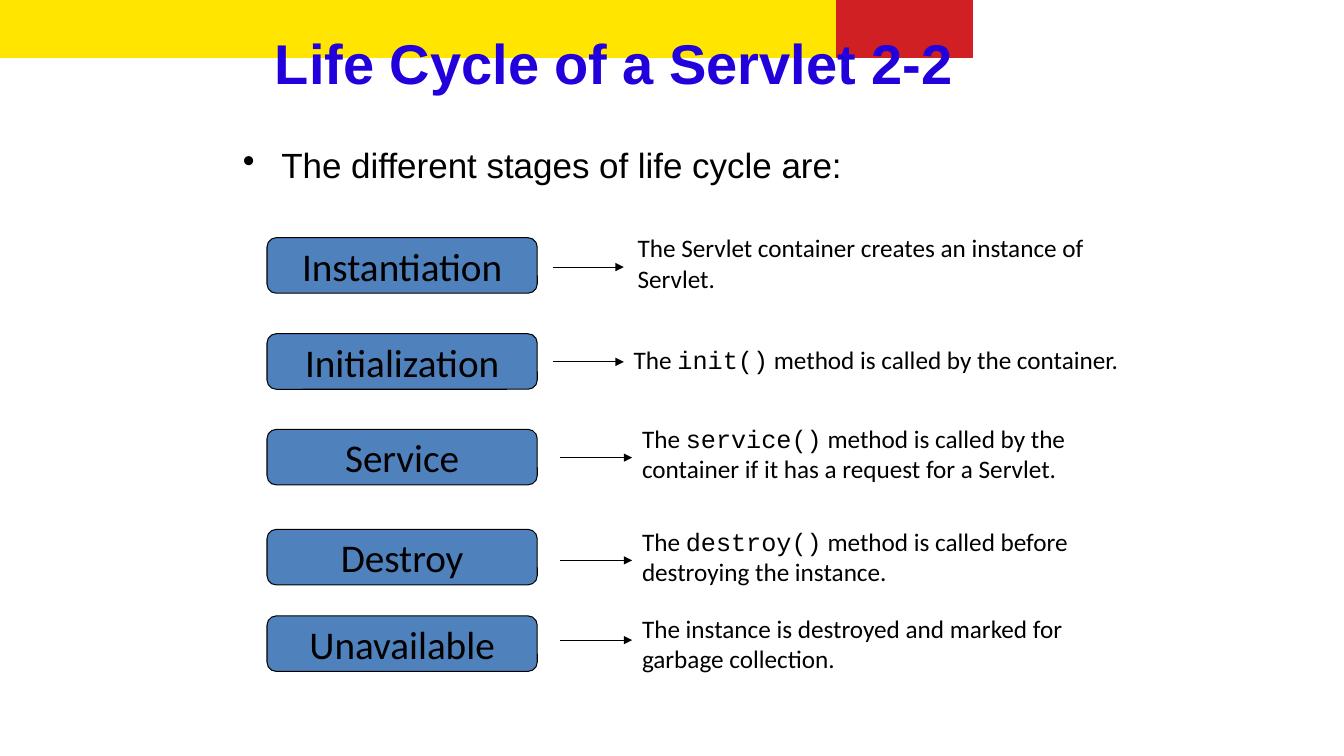
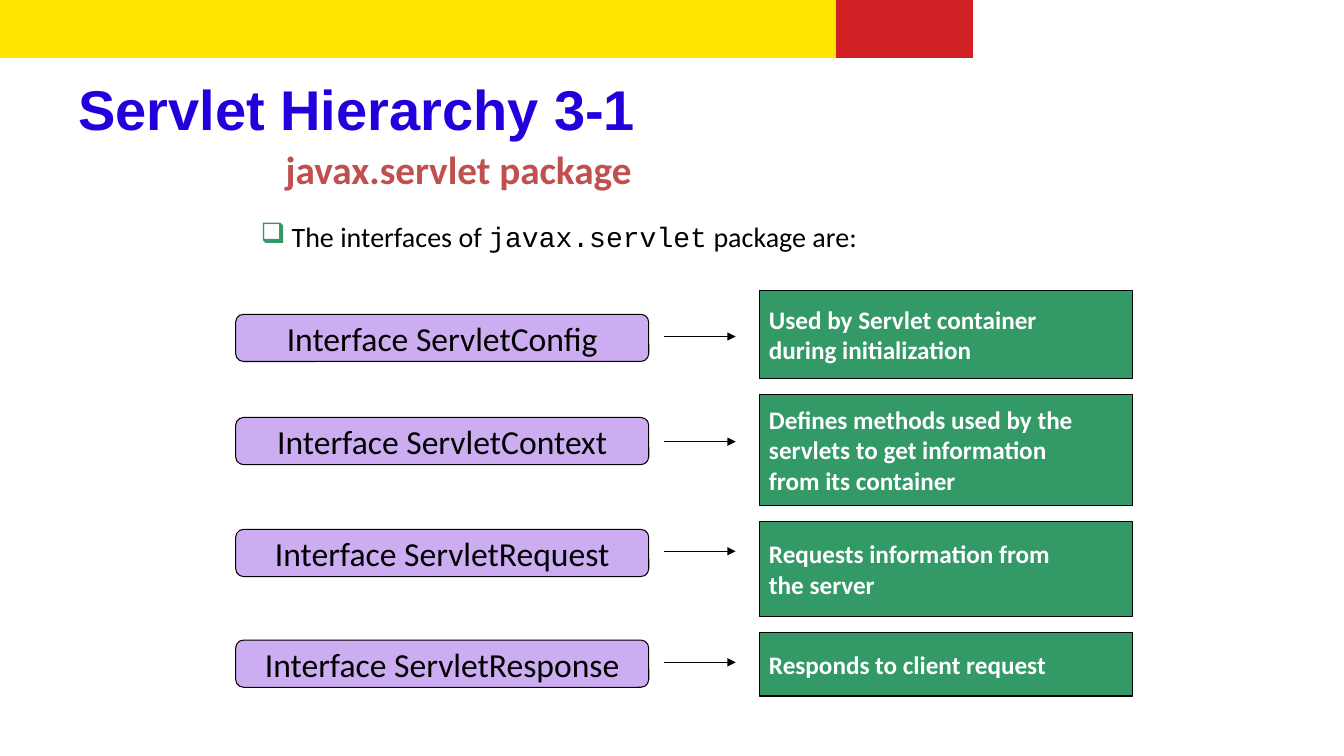
from dataclasses import dataclass

from lxml import etree
from pptx import Presentation, util as u
from pptx.dml.color import RGBColor
from pptx.enum import shapes, text
from pptx.oxml.ns import qn


@dataclass(frozen=True)
class TextStyle:
    size: int
    colour: str = "000000"
    font: str = "Calibri"
    bold: bool = False


@dataclass(frozen=True)
class Theme:
    yellow: str = "FFE500"
    red: str = "D12023"
    blue: str = "4F81BD"
    lilac: str = "CDADF1"
    green: str = "339966"
    outline: str = "000000"
    outline_width: float = 0.75
    code_font: str = "Courier New"
    title: TextStyle = TextStyle(40, "2200DC", "Arial", True)
    subtitle: TextStyle = TextStyle(28, "C0504D", bold=True)
    lead: TextStyle = TextStyle(25, font="Arial")
    intro: TextStyle = TextStyle(20)
    stage: TextStyle = TextStyle(28)
    interface: TextStyle = TextStyle(24)
    note: TextStyle = TextStyle(18)
    purpose: TextStyle = TextStyle(18, "FFFFFF", bold=True)


THEME = Theme()
ROUNDED = shapes.MSO_SHAPE.FLOWCHART_ALTERNATE_PROCESS
RECTANGLE = shapes.MSO_SHAPE.RECTANGLE
LEFT, CENTRE = text.PP_ALIGN.LEFT, text.PP_ALIGN.CENTER

# top, arrow y, arrow start and end, note left, top and width, name, note
STAGES = [
    (5.99, 6.73, 13.94, 15.72, 15.82, 5.74, 13.31, "Instantiation",
     "The Servlet container creates an instance of Servlet."),
    (8.41, 9.12, 13.94, 15.72, 15.72, 8.56, 13.89, "Initialization",
     "The `init()` method is called by the container."),
    (10.82, 11.53, 14.12, 15.93, 15.93, 10.54, 13.41, "Service",
     "The `service()` method is called by the container if it has "
     "a request for a Servlet."),
    (13.34, 14.12, 14.12, 15.93, 15.93, 13.13, 13.41, "Destroy",
     "The `destroy()` method is called before destroying the instance."),
    (15.52, 16.13, 14.12, 15.93, 15.93, 15.32, 13.21, "Unavailable",
     "The instance is destroyed and marked for garbage collection."),
]

# top, arrow y, purpose height, name, purpose
INTERFACES = [
    (7.92, 8.48, 2.21, "ServletConfig",
     "Used by Servlet container\nduring initialization"),
    (10.52, 11.13, 2.79, "ServletContext",
     "Defines methods used by the\nservlets to get information\n"
     "from its container"),
    (13.34, 13.89, 2.39, "ServletRequest",
     "Requests information from\nthe server"),
    (16.13, 16.69, 1.6, "ServletResponse", "Responds to client request"),
]


def rgb(colour):
    return RGBColor.from_string(colour)


def cm(*lengths):
    return [u.Cm(length) for length in lengths]


def write(frame, words, style, align=LEFT):
    """Fill a frame; words between backticks take the code font."""
    frame.text = words.replace("`", "") if "`" not in words else ""
    if "`" in words:
        for part in words.split("`"):
            frame.paragraphs[0].add_run().text = part
    for para in frame.paragraphs:
        para.alignment = align
        for index, span in enumerate(para.runs):
            span.font.name = THEME.code_font if index % 2 else style.font
            span.font.size = u.Pt(style.size)
            span.font.bold = style.bold
            span.font.color.rgb = rgb(style.colour)


def add_label(slide, left, top, width, height, words, style, inset=True):
    box = slide.shapes.add_textbox(*cm(left, top, width, height))
    frame = box.text_frame
    frame.word_wrap = True
    if not inset:
        frame.margin_left = frame.margin_right = 0
        frame.margin_top = frame.margin_bottom = 0
    write(frame, words, style)
    return frame.paragraphs[0]


def add_bullet(para, symbol, indent, colour):
    properties = para._p.get_or_add_pPr()
    properties.set("marL", str(u.Cm(indent)))
    properties.set("indent", str(-u.Cm(indent)))
    tint = etree.SubElement(properties, qn("a:buClr"))
    etree.SubElement(tint, qn("a:srgbClr"), val=colour)
    etree.SubElement(properties, qn("a:buChar"), char=symbol)


def add_block(slide, kind, left, top, width, height, fill,
              line=THEME.outline, line_width=THEME.outline_width):
    box = slide.shapes.add_shape(kind, *cm(left, top, width, height))
    box.shadow.inherit = False
    box.fill.solid()
    box.fill.fore_color.rgb = rgb(fill)
    box.line.color.rgb = rgb(line)
    box.line.width = u.Pt(line_width)
    return box


def add_box(slide, kind, left, top, width, height, fill, words, style, align):
    box = add_block(slide, kind, left, top, width, height, fill)
    frame = box.text_frame
    frame.word_wrap = align == LEFT
    frame.vertical_anchor = text.MSO_ANCHOR.MIDDLE
    write(frame, words, style, align)


def add_arrow(slide, start, end, y):
    arrow = slide.shapes.add_connector(
        shapes.MSO_CONNECTOR.STRAIGHT, *cm(start, y, end, y))
    arrow.line.color.rgb = rgb(THEME.outline)
    arrow.line.width = u.Pt(THEME.outline_width)
    properties = arrow.element.spPr
    etree.SubElement(properties.find(qn("a:ln")), qn("a:tailEnd"),
                     type="triangle")
    etree.SubElement(properties, qn("a:effectLst"))


def add_page(deck, title, left, top, width):
    """Start a page with the top bands and its title."""
    page = deck.slides.add_slide(deck.slide_layouts[6])
    for band_left, band_width, colour in [(0, 21.08, THEME.yellow),
                                          (21.08, 3.43, THEME.red)]:
        add_block(page, RECTANGLE, band_left, 0, band_width, 1.45,
                  colour, colour, 0.25)
    add_label(page, left, top, width, 1.7, title, THEME.title, inset=False)
    return page


def build_life_cycle(deck):
    page = add_page(deck, "Life Cycle of a Servlet 2-2", 6.93, 0.71, 22.61)
    lead = add_label(page, 6.12, 3.73, 22.86, 0.97,
                     "The different stages of life cycle are:",
                     THEME.lead, inset=False)
    add_bullet(lead, "•", 0.97, THEME.lead.colour)
    lead.line_spacing = 0.9

    # Stage, arrow and explanation in each row
    for (top, arrow_y, start, end, note_left, note_top, note_width,
         name, note) in STAGES:
        add_box(page, ROUNDED, 6.73, top, 6.81, 1.4, THEME.blue,
                name, THEME.stage, CENTRE)
        add_arrow(page, start, end, arrow_y)
        add_label(page, note_left, note_top, note_width, 1.78,
                  note, THEME.note)


def build_hierarchy(deck):
    page = add_page(deck, "Servlet Hierarchy 3-1", 1.98, 1.88, 29.9)
    add_label(page, 6.95, 3.53, 14.4, 1.45, "javax.servlet package",
              THEME.subtitle)
    intro = add_label(page, 6.32, 5.41, 15.7, 1.12,
                      "The interfaces of `javax.servlet` package are:",
                      THEME.intro)
    add_bullet(intro, "❑", 0.78, THEME.green)

    # Interface, arrow and purpose; purposes stack with an equal gap
    purpose_top, gap = 7.32, 0.41
    for top, arrow_y, height, name, purpose in INTERFACES:
        add_box(page, ROUNDED, 5.94, top, 10.41, 1.19, THEME.lilac,
                f"Interface {name}", THEME.interface, CENTRE)
        add_arrow(page, 16.74, 18.54, arrow_y)
        add_box(page, RECTANGLE, 19.13, purpose_top, 9.4, height,
                THEME.green, purpose, THEME.purpose, LEFT)
        purpose_top += height + gap


def main():
    deck = Presentation()
    deck.slide_width, deck.slide_height = cm(33.87, 19.05)
    build_life_cycle(deck)
    build_hierarchy(deck)
    deck.save("out.pptx")


if __name__ == "__main__":
    main()
